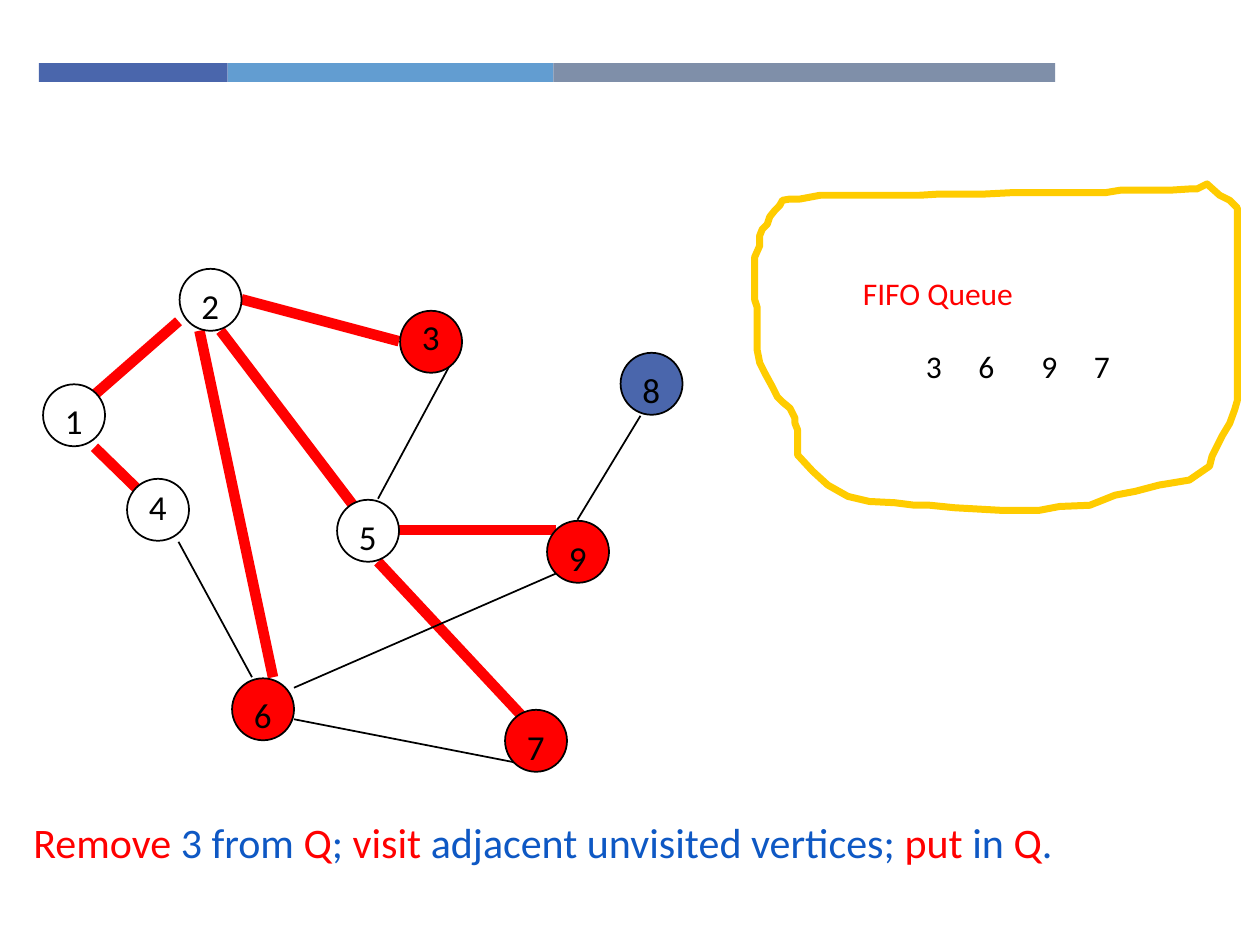
from typing import NamedTuple

from lxml.etree import SubElement
from pptx import Presentation
from pptx.dml.color import RGBColor
from pptx.enum.shapes import MSO_CONNECTOR as Conn, MSO_SHAPE as Shp
from pptx.enum.text import MSO_ANCHOR as Anchor
from pptx.oxml.ns import qn
from pptx.util import Inches, Pt

COLS, ROWS = 120, 90
RED, BLACK, WHITE, BLUE, TEXT_BLUE = "FF0000", "000000", "FFFFFF", "4A66AC", "0E58C4"
DIAMETER = 5.9


class Bar(NamedTuple):
    col: float
    width: float
    fill: str


class Node(NamedTuple):
    label: str
    col: float
    row: float
    fill: str = WHITE
    drop: float = 0.9


class Edge(NamedTuple):
    x1: float
    y1: float
    x2: float
    y2: float
    tree: bool = False


class Label(NamedTuple):
    runs: list[tuple[str, str]]
    col: float
    row: float
    width: float
    height: float
    size: float
    hanging: float = 0


BARS = [Bar(3.7, 18, BLUE), Bar(21.7, 31, "629DD1"), Bar(52.7, 47.8, "7F8FA9")]

NODES = [
    Node("8", 59.1, 33.6, BLUE),
    Node("1", 4.1, 36.6),
    Node("2", 17.1, 25.6),
    Node("4", 12.1, 45.6, drop=0),
    Node("5", 32.1, 47.6),
    Node("3", 38.1, 29.6, RED, -0.1),
    Node("6", 22.1, 64.6, RED),
    Node("9", 52.1, 49.6, RED),
    Node("7", 48.1, 67.6, RED),
]

EDGES = [
    Edge(17, 30.6, 9, 37.6, True),
    Edge(21, 31.5, 34, 48.6, True),
    Edge(9, 42.6, 13, 46.5, True),
    Edge(17, 51.6, 24, 64.5),
    Edge(28, 68.5, 49, 72.6),
    Edge(43, 34.5, 36, 47.5),
    Edge(36, 53.5, 50, 68.5, True),
    Edge(61, 39.6, 55, 49.5),
    Edge(38, 50.5, 53, 50.5, True),
    Edge(23, 28.5, 38, 32.5, True),
    Edge(19, 31.5, 26, 64.5, True),
    Edge(28, 65.5, 53, 54.6),
]

QUEUE_COLS = {"3": 87, "6": 92, "9": 98, "7": 103}

CAPTION = [
    ("Remove", RED), (" 3 from ", TEXT_BLUE), ("Q", RED), ("; ", TEXT_BLUE),
    ("visit", RED), (" adjacent unvisited vertices; ", TEXT_BLUE),
    ("put", RED), (" in ", TEXT_BLUE), ("Q", RED), (".", TEXT_BLUE),
]

OUTLINE = [
    (958, 146), (950, 150), (944, 150), (928, 151), (889, 151), (877, 153),
    (802, 153), (782, 154), (746, 154), (730, 155), (651, 155), (635, 158),
    (627, 158), (621, 159), (619, 163), (615, 167), (611, 172), (609, 178),
    (605, 182), (603, 187), (603, 195), (599, 204), (599, 238), (601, 244),
    (601, 278), (603, 288), (607, 296), (613, 307), (617, 315), (621, 319),
    (627, 324), (631, 332), (631, 336), (633, 341), (633, 361), (645, 374),
    (657, 385), (673, 394), (690, 398), (710, 399), (726, 401), (738, 401),
    (758, 403), (794, 405), (825, 405), (841, 402), (865, 401), (885, 393),
    (901, 390), (920, 385), (932, 383), (944, 381), (960, 370), (962, 362),
    (966, 354), (970, 346), (976, 336), (980, 325), (982, 318), (982, 165),
    (976, 159), (968, 155),
]

prs = Presentation()
prs.slide_width, prs.slide_height = Inches(10), Inches(7.5)
s = prs.slides.add_slide(prs.slide_layouts[6])


def rgb(color: str) -> RGBColor:
    return RGBColor.from_string(color)


def x(cols: float) -> int:
    return round(prs.slide_width * cols / COLS)


def y(rows: float) -> int:
    return round(prs.slide_height * rows / ROWS)


def style_line(sp, color: str, width: float) -> None:
    sp.line.color.rgb = rgb(color)
    sp.line.width = Pt(width)


def draw_bar(bar: Bar) -> None:
    sp = s.shapes.add_shape(Shp.RECTANGLE, x(bar.col), y(6), x(bar.width), y(1.8))
    sp.shadow.inherit = False
    sp.fill.solid()
    sp.fill.fore_color.rgb = rgb(bar.fill)
    sp.line.fill.background()


def draw_edge(e: Edge) -> None:
    sp = s.shapes.add_connector(Conn.STRAIGHT, x(e.x1), y(e.y1), x(e.x2), y(e.y2))
    style_line(sp, RED if e.tree else BLACK, 6 if e.tree else 1)
    SubElement(sp._element.spPr, qn("a:effectLst"))


def draw_label(label: Label) -> None:
    sp = s.shapes.add_textbox(x(label.col), y(label.row), x(label.width), y(label.height))
    tf = sp.text_frame
    for name, value in {"word_wrap": True, "vertical_anchor": Anchor.TOP}.items():
        setattr(tf, name, value)
    p = tf.paragraphs[0]
    if label.hanging:
        pPr = p._p.get_or_add_pPr()
        pPr.set("marL", str(x(label.hanging)))
        pPr.set("indent", str(-x(label.hanging)))
    for text, color in label.runs:
        r = p.add_run()
        r.text = text
        for name, value in {"name": "Calibri", "size": Pt(label.size)}.items():
            setattr(r.font, name, value)
        r.font.color.rgb = rgb(color)


def draw_node(n: Node) -> None:
    sp = s.shapes.add_shape(Shp.OVAL, x(n.col), y(n.row), x(DIAMETER), y(DIAMETER))
    sp.shadow.inherit = False
    sp.fill.solid()
    sp.fill.fore_color.rgb = rgb(n.fill)
    style_line(sp, BLACK, 1)
    draw_label(Label([(n.label, BLACK)], n.col + 0.9, n.row + n.drop, 3, 5.2, 20))


def draw_outline(points: list[tuple[int, int]]) -> None:
    builder = s.shapes.build_freeform(*points[0], scale=Inches(0.01))
    builder.add_line_segments(points[1:], close=True)
    sp = builder.convert_to_shape()
    sp.shadow.inherit = False
    sp.fill.background()
    style_line(sp, "FFCC00", 4)
    SubElement(sp.line._get_or_add_ln(), qn("a:round"))


for bar in BARS:
    draw_bar(bar)
for edge in EDGES:
    draw_edge(edge)
draw_outline(OUTLINE)
for node in NODES:
    draw_node(node)
draw_label(Label([("FIFO Queue", RED)], 81, 25.5, 37, 10.3, 18))
for digit, col in QUEUE_COLS.items():
    draw_label(Label([(digit, BLACK)], col, 32.5, 5, 7.6, 18))
draw_label(Label(CAPTION, 2, 77.2, 118, 9.4, 24, hanging=6))

prs.save("out.pptx")
